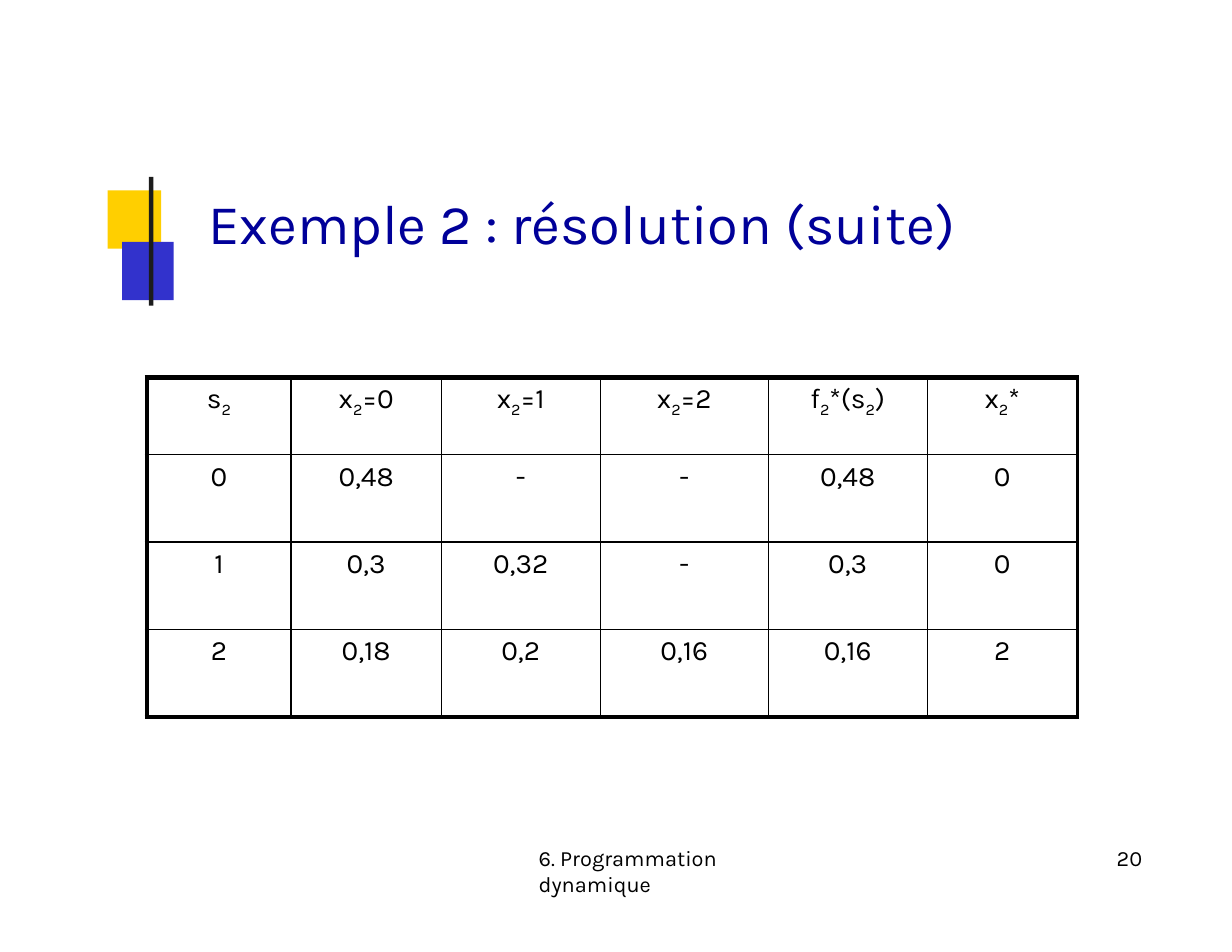
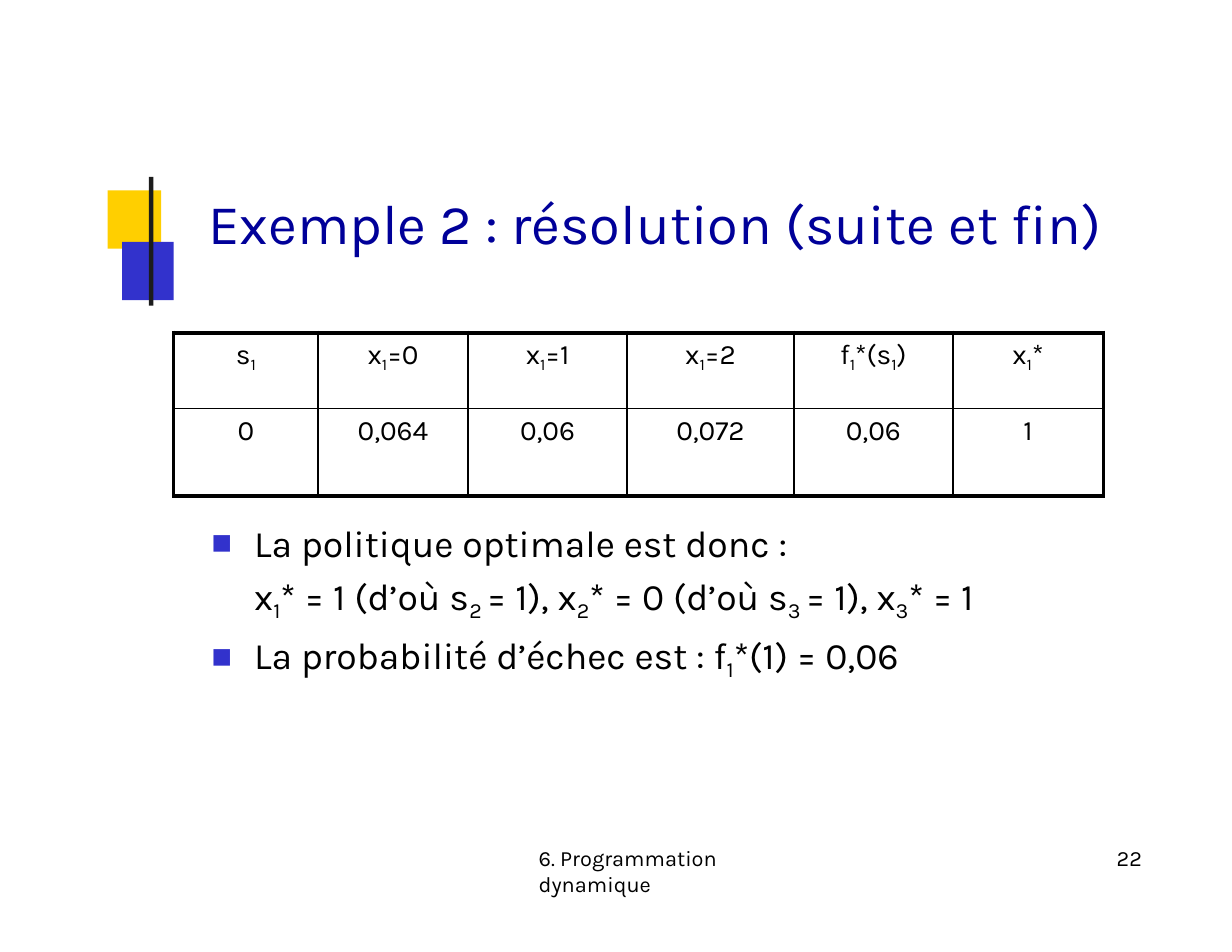
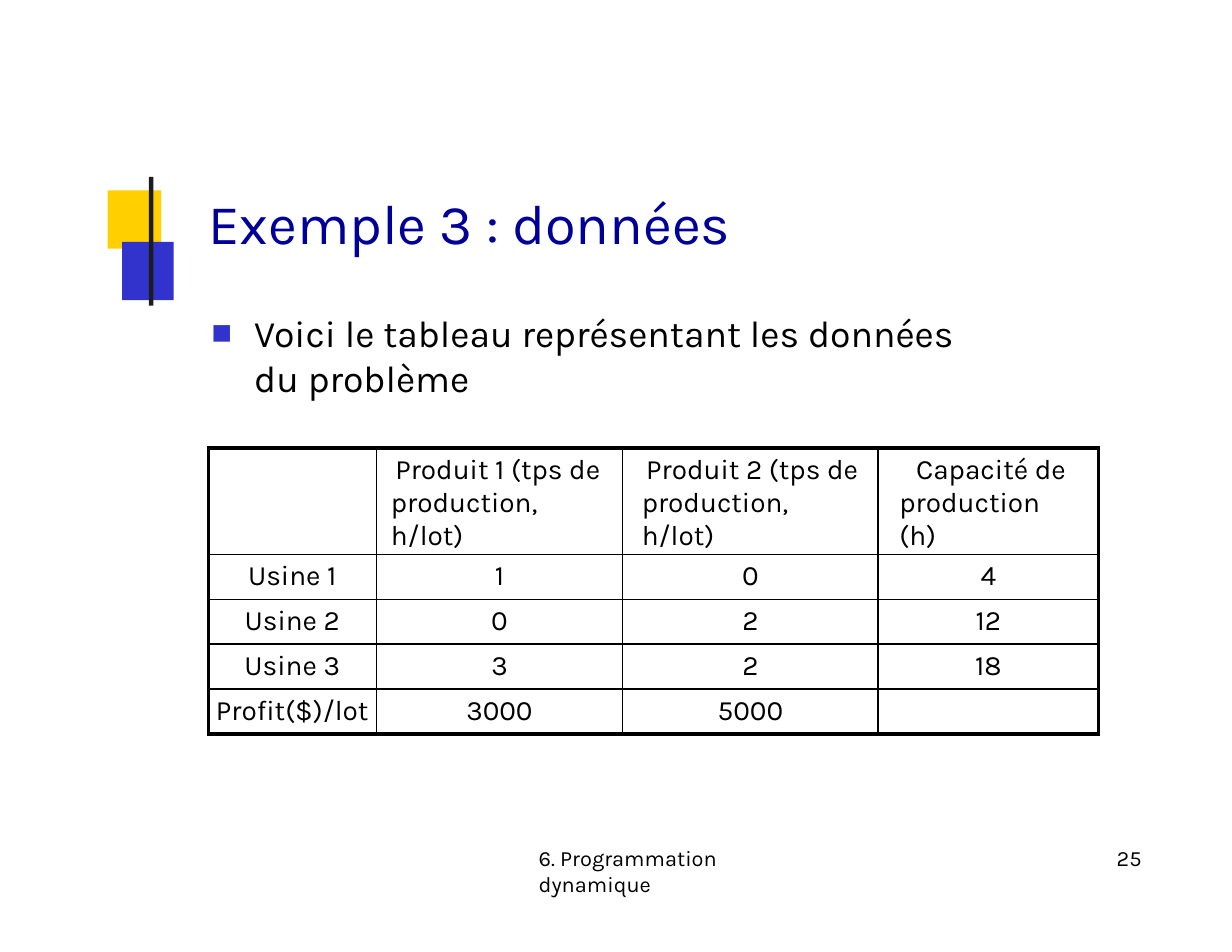
from pptx import Presentation
from pptx.dml.color import RGBColor as RGB
from pptx.enum.shapes import MSO_SHAPE as Shape
from pptx.enum.text import MSO_ANCHOR as Anchor, MSO_AUTO_SIZE as Fit, PP_ALIGN as Align
from pptx.oxml.ns import qn
from pptx.util import Inches, Pt
from lxml.etree import SubElement as Sub, Element

# Shared look
FONT = "Karla"
NAVY = RGB(0x00, 0x00, 0x99)
GOLD = RGB(0xFF, 0xCF, 0x00)
BLUE = RGB(0x32, 0x32, 0xCC)
DARK = RGB(0x1C, 0x1C, 0x1C)
BLACK = RGB(0x00, 0x00, 0x00)
THICK, RIGHT, THIN = 3, 2.25, 1
MARKS = [
    (GOLD, (0.96, 1.7, 0.48, 0.52)),
    (BLUE, (1.09, 2.16, 0.46, 0.52)),
    (DARK, (1.33, 1.58, 0.04, 1.15)),
]
TITLE = (1.85, 1.67, 8.34, 0.63)
FOOT = (4.8, 7.53, 2.57, 0.26)
PAGE = (9.93, 7.53, 0.31, 0.26)
CHAPTER = "6. Programmation dynamique"

# Content: text in [brackets] is set as a subscript
SLIDES = [
    {
        "title": "Exemple 2 : résolution (suite)",
        "page": "20",
        "table": {
            "at": (1.31, 3.37), "left": 3,
            "cols": [1.29, 1.34, 1.42, 1.5, 1.42, 1.34],
            "rows": [0.69, 0.78, 0.78, 0.78],
            "cells": [
                ["s[2]", "x[2]=0", "x[2]=1", "x[2]=2", "f[2]*(s[2])", "x[2]*"],
                ["0", "0,48", "-", "-", "0,48", "0"],
                ["1", "0,3", "0,32", "-", "0,3", "0"],
                ["2", "0,18", "0,2", "0,16", "0,16", "2"],
            ],
        },
    },
    {
        "title": "Exemple 2 : résolution (suite et fin)",
        "page": "22",
        "body": {
            "at": (1.85, 4.55, 8.16, 1.47), "top": 0.09, "indent": 0.42,
            "lines": [  # text, bullet, space before
                ("La politique optimale est donc :", True, 6.8),
                ("x[1]* = 1 (d’où s[2 ]= 1), x[2]* = 0 (d’où s[3 ]= 1), x[3]* = 1",
                 False, 5.8),
                ("La probabilité d’échec est : f[1]*(1) = 0,06", True, 5.7),
            ],
        },
        "table": {
            "at": (1.55, 2.97), "left": 2.25,
            "cols": [1.29, 1.34, 1.42, 1.49, 1.42, 1.34],
            "rows": [0.68, 0.78],
            "cells": [
                ["s[1]", "x[1]=0", "x[1]=1", "x[1]=2", "f[1]*(s[1])", "x[1]*"],
                ["0", "0,064", "0,06", "0,072", "0,06", "1"],
            ],
        },
    },
    {
        "title": "Exemple 3 : données",
        "page": "25",
        "body": {
            "at": (1.88, 2.74, 6.93, 0.83), "top": 0.03, "indent": 0.39,
            "pitch": 28.7,
            "lines": [
                ("Voici le tableau représentant les données du problème", True, 2),
            ],
        },
        "table": {
            "at": (1.86, 4), "left": 2.25,
            "cols": [1.5, 2.2, 2.28, 1.97],
            "rows": [0.7, 0.4, 0.4, 0.4, 0.4],
            # left margin, first line, right margin of each heading
            "heads": [None, (0.13, 0.04, 0.15), (0.17, 0.04, 0.15), (0.19, 0.15, 0.25)],
            "cells": [
                ["", "Produit 1 (tps de production, h/lot)",
                 "Produit 2 (tps de production, h/lot)", "Capacité de production (h)"],
                ["Usine 1", "1", "0", "4"],
                ["Usine 2", "0", "2", "12"],
                ["Usine 3", "3", "2", "18"],
                ["Profit($)/lot", "3000", "5000", ""],
            ],
        },
    },
]


# Text helpers
def write(para, text, size, color=BLACK, drop=-23):
    """Add the text run by run; every second part is a subscript."""
    for i, part in enumerate(text.replace("]", "[").split("[")):
        if not part:
            continue
        run = para.add_run()
        run.text = part
        font = run.font
        font.name, font.size, font.color.rgb = FONT, Pt(size), color
        if i % 2:
            font._element.set("baseline", str(drop * 1000))


def indent(para, left, first=0, right=0):
    props = para._p.get_or_add_pPr()
    for key, val in (("marL", left), ("marR", right), ("indent", first)):
        props.set(key, str(Inches(val)))


def bullet(para):
    props = para._p.get_or_add_pPr()
    tint = Sub(Sub(props, qn("a:buClr")), qn("a:srgbClr"))
    tint.set("val", str(BLUE))
    Sub(props, qn("a:buSzPct")).set("val", "58000")
    Sub(props, qn("a:buFont")).set("typeface", FONT)
    Sub(props, qn("a:buChar")).set("char", "■")


def place(shape, box, top=0.01):
    """Move a text shape, strip its margins and return its frame."""
    shape.left, shape.top, shape.width, shape.height = map(Inches, box)
    frame = shape.text_frame
    frame.word_wrap, frame.auto_size = True, Fit.SHAPE_TO_FIT_TEXT
    frame.vertical_anchor = Anchor.TOP
    frame.margin_left = frame.margin_right = frame.margin_bottom = 0
    frame.margin_top = Inches(top)
    return frame


def label(shape, box, text, size, color=BLACK, left=0.01):
    para = place(shape, box).paragraphs[0]
    para.alignment, para.space_before = Align.LEFT, Pt(1)
    indent(para, left)
    write(para, text, size, color)


# Slide parts
def add_frame(slide, data):
    for color, box in MARKS:
        mark = slide.shapes.add_shape(Shape.RECTANGLE, *map(Inches, box))
        mark.shadow.inherit = False
        mark.fill.solid()
        mark.fill.fore_color.rgb = color
        mark.line.fill.background()
    label(slide.shapes.title, TITLE, data["title"], 36, NAVY)
    for box, text, left in ((FOOT, CHAPTER, 0.01), (PAGE, data["page"], 0.04)):
        label(slide.shapes.add_textbox(0, 0, 0, 0), box, text, 14, left=left)


def add_body(slide, data):
    frame = place(slide.placeholders[1], data["at"], data["top"])
    for i, (text, dot, gap) in enumerate(data["lines"]):
        para = frame.add_paragraph() if i else frame.paragraphs[0]
        para.alignment, para.space_before = Align.LEFT, Pt(gap)
        if "pitch" in data:
            para.line_spacing = Pt(data["pitch"])
        indent(para, data["indent"], -0.38 if dot else 0)
        if dot:
            bullet(para)
        else:
            Sub(para._p.get_or_add_pPr(), qn("a:buNone"))
        write(para, text, 24, drop=-21)


def add_edges(cell, widths):
    props = cell._tc.get_or_add_tcPr()
    for i, (side, width) in enumerate(zip("LRTB", widths)):
        line = Element(qn("a:ln" + side), w=str(Pt(width)))
        Sub(Sub(line, qn("a:solidFill")), qn("a:srgbClr")).set("val", str(BLACK))
        props.insert(i, line)


def add_grid(slide, data):
    cols, rows = data["cols"], data["rows"]
    size = (sum(cols), sum(rows))
    table = slide.shapes.add_table(
        len(rows), len(cols), *map(Inches, data["at"] + size)).table
    table.first_row = table.horz_banding = False
    for col, width in zip(table.columns, cols):
        col.width = Inches(width)
    for row, height in zip(table.rows, rows):
        row.height = Inches(height)
    heads = data.get("heads", [None] * len(cols))
    for r, texts in enumerate(data["cells"]):
        for c, text in enumerate(texts):
            cell = table.cell(r, c)
            cell.fill.background()
            cell.margin_left = cell.margin_right = cell.margin_bottom = 0
            cell.margin_top = Inches(0.05)
            para = cell.text_frame.paragraphs[0]
            para.space_before = Pt(3.6)
            if r == 0 and heads[c]:
                para.alignment = Align.LEFT
                indent(para, *heads[c])
            else:
                para.alignment = Align.CENTER
            write(para, text, 18)
            add_edges(cell, (
                THIN if c else data["left"],
                RIGHT if c == len(cols) - 1 else THIN,
                THIN if r else THICK,
                THICK if r == len(rows) - 1 else THIN,
            ))


def main():
    prs = Presentation()
    prs.slide_width, prs.slide_height = Inches(11), Inches(8.5)
    for data in SLIDES:
        layout = prs.slide_layouts[1 if "body" in data else 5]
        slide = prs.slides.add_slide(layout)
        add_frame(slide, data)
        if "body" in data:
            add_body(slide, data["body"])
        add_grid(slide, data["table"])
    prs.save("out.pptx")


if __name__ == "__main__":
    main()
